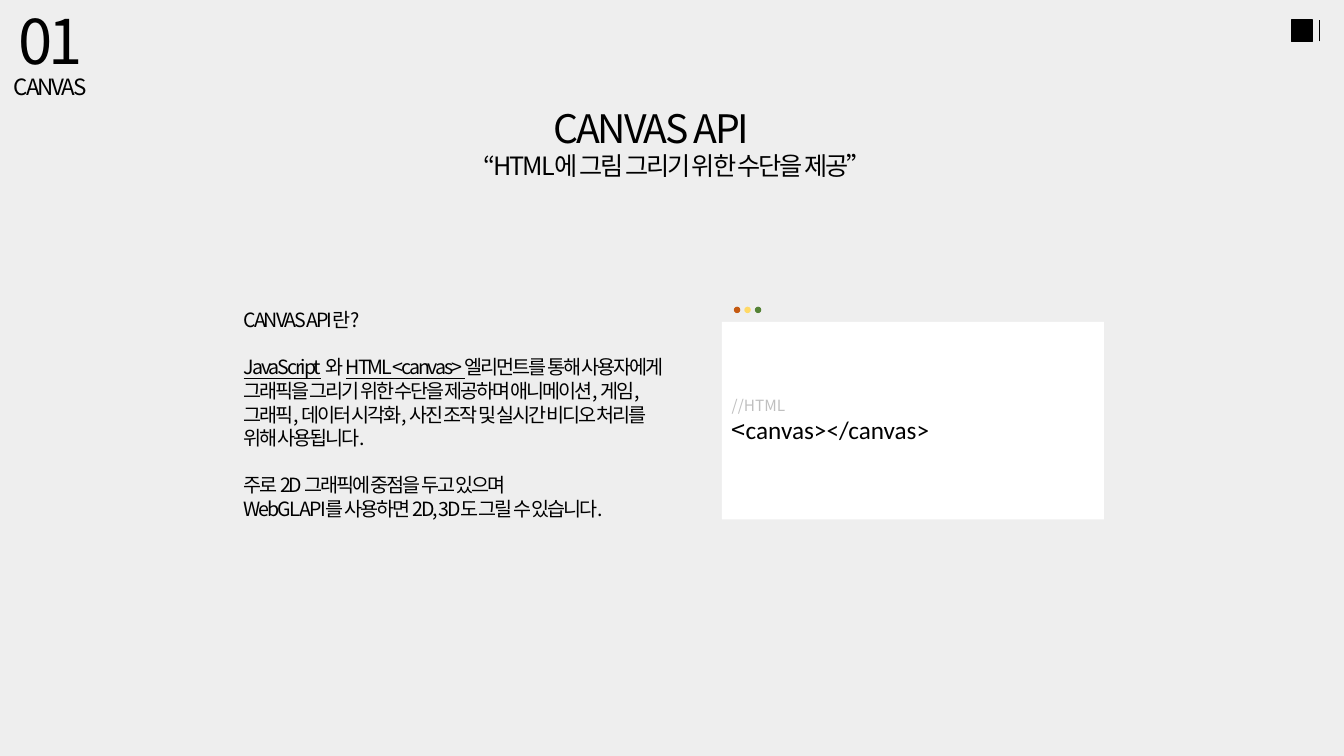
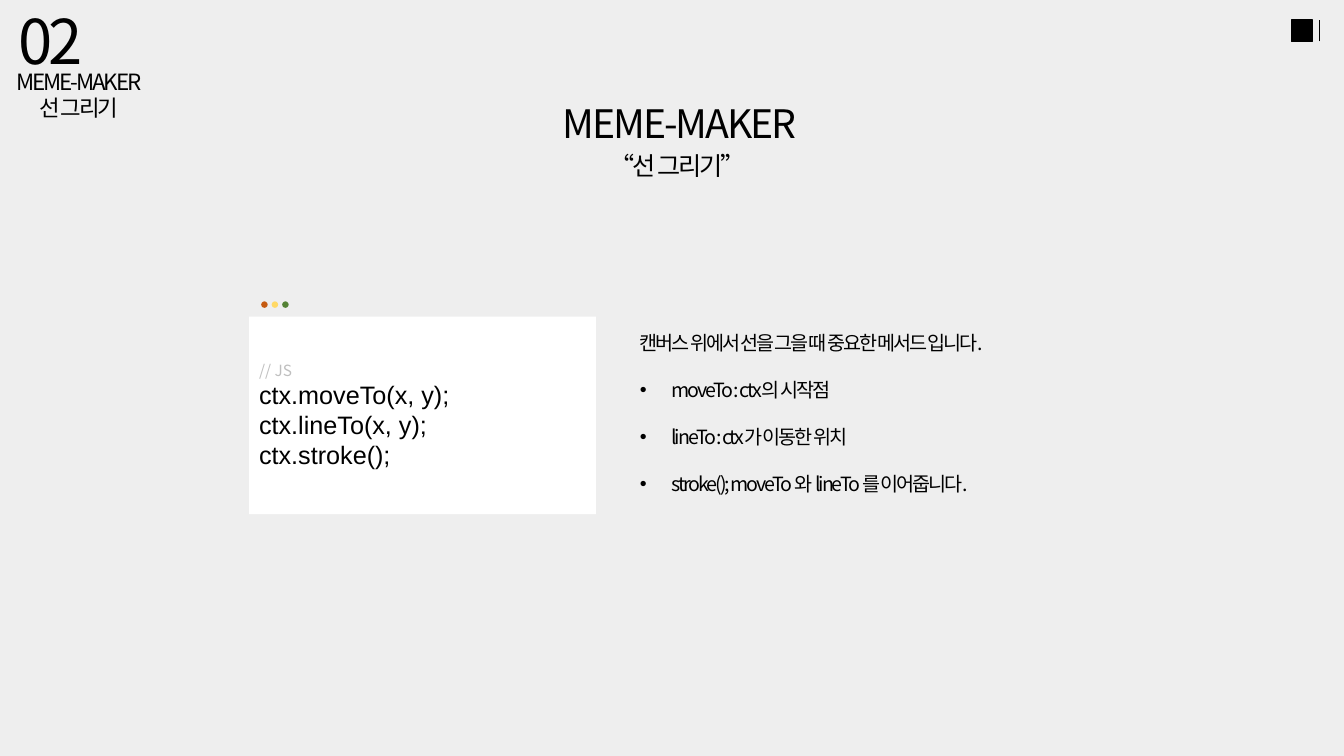
from lxml.etree import SubElement
from pptx import Presentation
from pptx.dml.color import RGBColor
from pptx.enum.shapes import MSO_CONNECTOR as CONNECTOR, MSO_SHAPE as SHAPE
from pptx.enum.text import MSO_ANCHOR as ANCHOR, MSO_AUTO_SIZE as AUTO_SIZE, PP_ALIGN as ALIGN
from pptx.oxml.ns import qn
from pptx.util import Pt

COLORS = {
    "background": "EEEEEE", "ink": "000000", "card": "FFFFFF", "comment": "BFBFBF",
    "red": "C55A11", "yellow": "FFD966", "green": "548235",
}
FONT = "Noto Sans CJK KR"
TIGHT = -1.5
BODY_SIZE = 14
BODY_GAP = 16.8
BULLET_INDENT = 22.5
TITLE_ONLY = 5


def rgb(name):
    return RGBColor.from_string(COLORS[name])


def style_run(run, size, color="ink", font=FONT, spacing=0, underline=None):
    run.font.size = Pt(size)
    run.font.color.rgb = rgb(color)
    run.font.name = font
    run.font.underline = underline
    properties = run.font._element
    SubElement(properties, qn("a:ea")).set("typeface", FONT)
    if spacing:
        properties.set("spc", str(round(spacing * 100)))


def add_line(frame, index, runs, align=ALIGN.LEFT, **base):
    """Write one paragraph; runs are (text, style) pairs that override base."""
    line = frame.paragraphs[0] if index == 0 else frame.add_paragraph()
    line.alignment = align
    for text, style in runs:
        run = line.add_run()
        run.text = text
        style_run(run, **{**base, **style})
    return line


def set_frame(frame, inset_x=7.2, inset_y=3.6, anchor=ANCHOR.TOP):
    frame.auto_size = AUTO_SIZE.NONE
    frame.word_wrap = False
    frame.vertical_anchor = anchor
    frame.margin_left = frame.margin_right = Pt(inset_x)
    frame.margin_top = frame.margin_bottom = Pt(inset_y)


def add_label(slide, box, lines, inset_x=0, inset_y=0, **style):
    frame = slide.shapes.add_textbox(*map(Pt, box)).text_frame
    set_frame(frame, inset_x, inset_y)
    for index, text in enumerate(lines):
        add_line(frame, index, [(text, {})], **style)


def add_solid(slide, kind, box, color):
    solid = slide.shapes.add_shape(kind, *map(Pt, box))
    solid.shadow.inherit = False
    solid.fill.solid()
    solid.fill.fore_color.rgb = rgb(color)
    solid.line.fill.background()
    return solid


def add_corner_mark(slide, left=922.3, top=14.4, side=15.1):
    square = add_solid(slide, SHAPE.RECTANGLE, (left, top, side, side), "ink")
    square.line.color.rgb = rgb("ink")
    square.line.width = Pt(1)
    bar_x = left + side + 5.1
    bar = slide.shapes.add_connector(
        CONNECTOR.STRAIGHT, *map(Pt, (bar_x, top + side, bar_x, top)))
    bar.line.color.rgb = rgb("ink")
    bar.line.width = Pt(0.5)
    SubElement(bar._element.spPr, qn("a:effectLst"))


def add_section(slide, number, names, names_top, names_width):
    add_label(slide, (13, 2.2, 60, 54), [number], size=44, spacing=-3)
    add_label(slide, (0, names_top, names_width, 20 * len(names)), names,
              size=16, spacing=TIGHT, align=ALIGN.CENTER)


def add_heading(slide, title, title_left, title_top, subtitle):
    heading = slide.shapes.title
    heading.left, heading.top, heading.width, heading.height = map(
        Pt, (title_left, title_top, 207, 41))
    frame = heading.text_frame
    set_frame(frame)
    add_line(frame, 0, [(title, {})], size=28, spacing=TIGHT)
    add_label(slide, (301.7, 103.7, 365, 29), [subtitle], 7.2, 3.6,
              size=18, spacing=TIGHT, align=ALIGN.CENTER)


def add_code_window(slide, box, comment, code_lines):
    """Card with code, and three window buttons above its left edge."""
    left, top = box[:2]
    card = add_solid(slide, SHAPE.RECTANGLE, box, "card")
    set_frame(card.text_frame, anchor=ANCHOR.MIDDLE)
    add_line(card.text_frame, 0, [(comment, {})], size=11, color="comment")
    for index, runs in enumerate(code_lines, 1):
        add_line(card.text_frame, index, runs, size=18)
    for index, color in enumerate(("red", "yellow", "green")):
        add_solid(slide, SHAPE.OVAL, (left + 8.6 + 7.5 * index, top - 10.9, 4.6, 4.6), color)


def add_bullet(line):
    properties = line._p.get_or_add_pPr()
    properties.set("marL", str(Pt(BULLET_INDENT)))
    properties.set("indent", str(-Pt(BULLET_INDENT)))
    SubElement(properties, qn("a:buFont")).set("typeface", "Arial")
    SubElement(properties, qn("a:buChar")).set("char", "•")


def add_explanation(slide, box, blocks, bulleted=False):
    """Blocks of lines with a gap between them; all but the first may be bulleted."""
    frame = slide.shapes.add_textbox(*map(Pt, box)).text_frame
    set_frame(frame)
    index = 0
    for block_number, block in enumerate(blocks):
        for line_number, runs in enumerate(block):
            line = add_line(frame, index, runs, size=BODY_SIZE, spacing=TIGHT)
            if block_number and line_number == 0:
                line.space_before = Pt(BODY_GAP)
                if bulleted:
                    add_bullet(line)
            index += 1


def plain(*texts):
    return [[(text, {})] for text in texts]


def start_slide(deck):
    slide = deck.slides.add_slide(deck.slide_layouts[TITLE_ONLY])
    add_corner_mark(slide)
    return slide


def build_canvas_slide(deck):
    slide = start_slide(deck)
    add_section(slide, "01", ["CANVAS"], 51.9, 72)
    add_heading(slide, "CANVAS API", 388.1, 70.6, "“HTML에 그림 그리기 위한 수단을 제공”")
    linked = {"underline": True}
    add_explanation(slide, (167, 216.7, 344, 160), [
        plain("CANVAS API란?"),
        [[("JavaScript", linked), (" 와 ", {}), ("HTML <canvas> ", linked),
          ("엘리먼트를 통해 사용자에게", {})],
         *plain("그래픽을 그리기 위한 수단을 제공하며 애니메이션, 게임,",
                "그래픽, 데이터 시각화, 사진 조작 및 실시간 비디오 처리를",
                "위해 사용됩니다.")],
        plain("주로 2D 그래픽에 중점을 두고 있으며",
              "WebGL API를 사용하면 2D, 3D도 그릴 수 있습니다."),
    ])
    add_code_window(slide, (515.6, 230, 273, 141), "//HTML",
                    [[("<", {}), ("canvas></canvas>", {"font": "Calibri"})]])


def build_line_slide(deck):
    slide = start_slide(deck)
    add_section(slide, "02", ["MEME-MAKER", "선 그리기"], 48.3, 113)
    add_heading(slide, "MEME-MAKER", 394.9, 67, "“선 그리기”")
    code = ("ctx.moveTo(x, y);", "ctx.lineTo(x, y);", "ctx.stroke();")
    add_code_window(slide, (178, 226.2, 247.7, 141), "// JS",
                    [[(text, {"font": "Arial"})] for text in code])
    add_explanation(slide, (450, 232.6, 343, 126), [
        plain("캔버스 위에서 선을 그을 때 중요한 메서드 입니다."),
        plain("moveTo : ctx의 시작점"),
        plain("lineTo : ctx가 이동한 위치"),
        plain("stroke(); moveTo 와 lineTo 를 이어줍니다."),
    ], bulleted=True)


def main():
    deck = Presentation()
    deck.slide_width, deck.slide_height = Pt(960), Pt(540)
    backdrop = deck.slide_master.background.fill
    backdrop.solid()
    backdrop.fore_color.rgb = rgb("background")
    build_canvas_slide(deck)
    build_line_slide(deck)
    deck.save("out.pptx")


if __name__ == "__main__":
    main()
